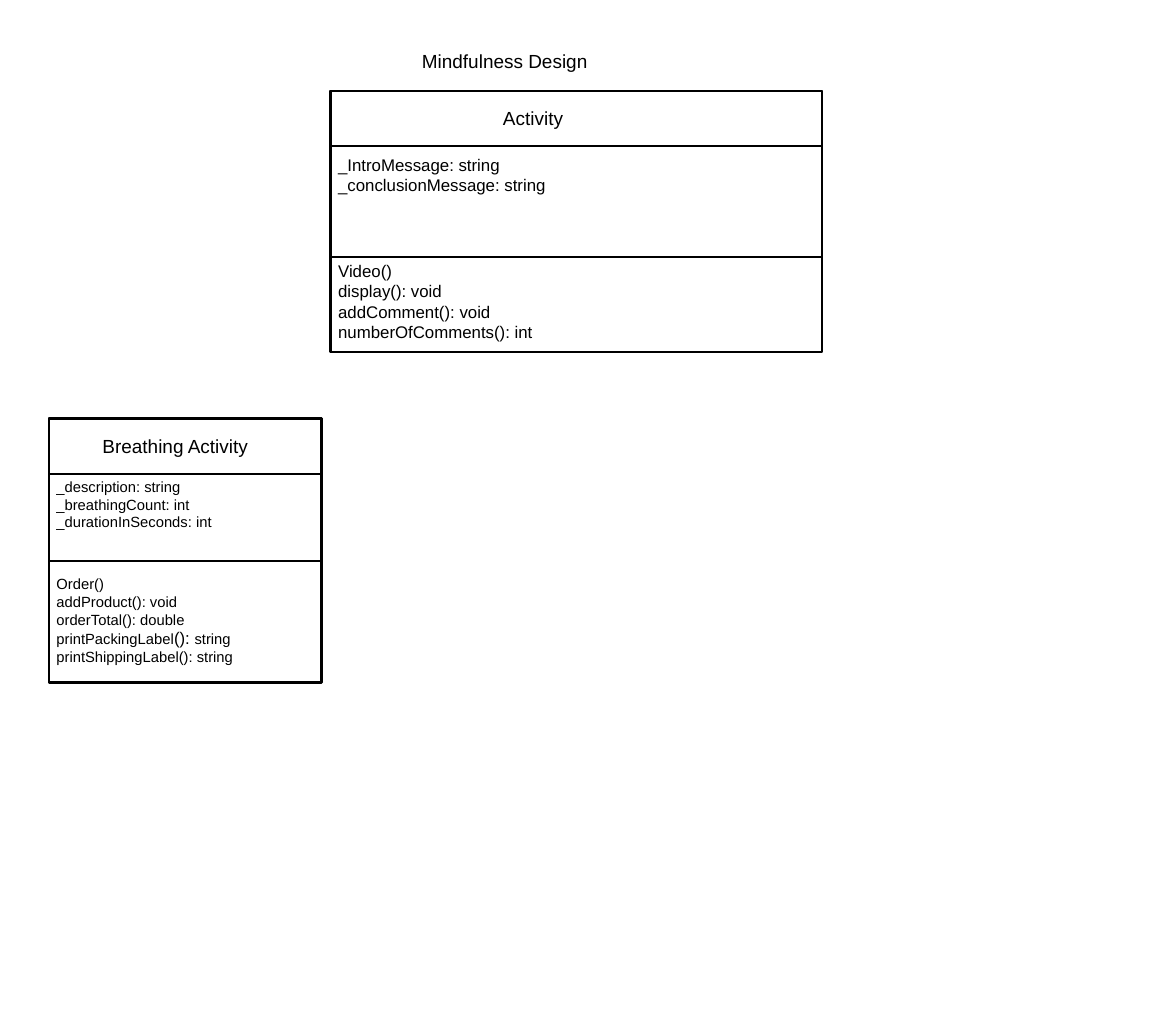
from pptx import Presentation
from pptx.dml.color import RGBColor
from pptx.enum.shapes import MSO_SHAPE
from pptx.enum.text import MSO_ANCHOR, MSO_AUTO_SIZE, PP_ALIGN
from pptx.util import Cm, Pt

BLACK = RGBColor(0, 0, 0)
FONT = "Arial"
NAME_SIZE = 18
NAME_HEIGHT = 1.02
HEADER_HEIGHT = 1.85


def write_text(shape, lines, size=NAME_SIZE):
    """Fill a shape with lines; a line is a string or a list of (text, size) runs."""
    frame = shape.text_frame
    frame.word_wrap = True
    frame.auto_size = MSO_AUTO_SIZE.NONE
    frame.vertical_anchor = MSO_ANCHOR.TOP
    for index, line in enumerate(lines):
        paragraph = frame.paragraphs[0] if index == 0 else frame.add_paragraph()
        paragraph.alignment = PP_ALIGN.LEFT
        runs = [(line, size)] if isinstance(line, str) else line
        for text, run_size in runs:
            run = paragraph.add_run()
            run.text = text
            run.font.name = FONT
            run.font.size = Pt(run_size)
            run.font.color.rgb = BLACK


def add_text(slide, left, top, width, height, lines, **text_format):
    box = slide.shapes.add_textbox(Cm(left), Cm(top), Cm(width), Cm(height))
    write_text(box, lines, **text_format)


def add_outline(slide, left, top, width, height):
    shape = slide.shapes.add_shape(
        MSO_SHAPE.RECTANGLE, Cm(left), Cm(top), Cm(width), Cm(height))
    shape.shadow.inherit = False
    shape.fill.background()
    shape.line.color.rgb = BLACK
    shape.line.width = Pt(2.25)


def add_class(slide, left, top, width, height, attributes_height, size,
              name, name_left, name_width, attributes, attributes_gap,
              methods, methods_gap):
    """Draw a UML class; each gap is from a compartment's top to its text box."""
    attributes_top = top + HEADER_HEIGHT
    methods_top = attributes_top + attributes_height
    methods_height = top + height - methods_top

    add_outline(slide, left, top, width, height)
    add_outline(slide, left, top, width, HEADER_HEIGHT)
    add_outline(slide, left, attributes_top, width, attributes_height)

    add_text(slide, name_left, top + 0.4, name_width, NAME_HEIGHT, [name])
    add_text(slide, left, attributes_top + attributes_gap, width,
             attributes_height - attributes_gap, attributes, size=size)
    add_text(slide, left, methods_top + methods_gap, width,
             methods_height - methods_gap, methods, size=size)


def add_title(slide, left, top, width, height, text):
    title = slide.shapes.title
    title.left, title.top = Cm(left), Cm(top)
    title.width, title.height = Cm(width), Cm(height)
    write_text(title, [text])


def main():
    presentation = Presentation()
    presentation.slide_width = Cm(39.37)
    presentation.slide_height = Cm(33.86)
    slide = presentation.slides.add_slide(presentation.slide_layouts[5])

    add_title(slide, 13.87, 1.52, 13.26, NAME_HEIGHT, "Mindfulness Design")
    add_class(
        slide, left=11.07, top=3.05, width=16.46, height=8.74,
        attributes_height=3.71, size=16,
        name="Activity", name_left=16.59, name_width=5.33,
        attributes=["_IntroMessage: string", "_conclusionMessage: string"],
        attributes_gap=0.15,
        methods=["Video()", "display(): void", "addComment(): void",
                 "numberOfComments(): int"],
        methods_gap=0)
    add_class(
        slide, left=1.64, top=14.02, width=9.12, height=8.84,
        attributes_height=2.92, size=14,
        name="Breathing Activity", name_left=3.18, name_width=6.35,
        attributes=["_description: string", "_breathingCount: int",
                    "_durationInSeconds: int"],
        attributes_gap=0,
        methods=["Order()", "addProduct(): void", "orderTotal(): double",
                 [("printPackingLabel", 14), ("(): ", 16), ("string", 14)],
                 "printShippingLabel(): string"],
        methods_gap=0.34)
    presentation.save("out.pptx")


if __name__ == "__main__":
    main()
